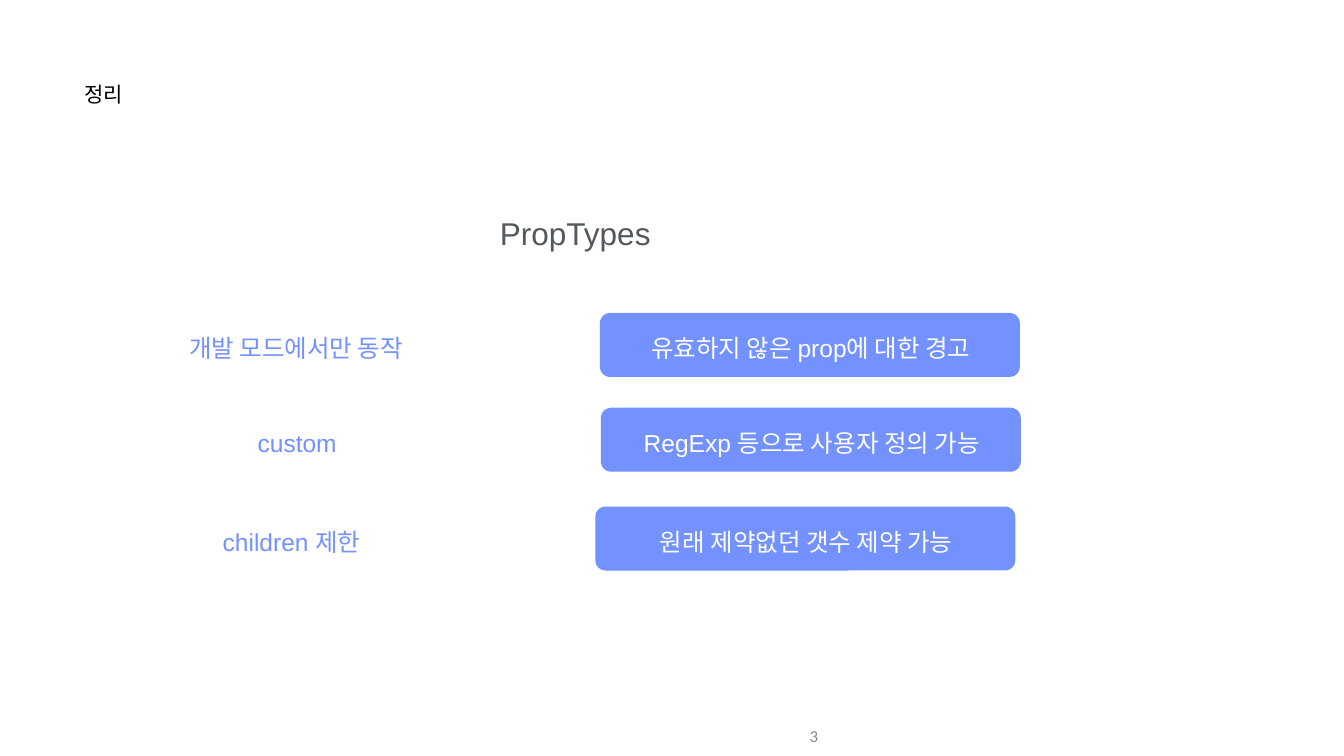
from pptx import Presentation
from pptx.dml.color import RGBColor
from pptx.enum import shapes, text
from pptx.util import Inches, Pt

TITLE = "정리"
HEAD = "PropTypes"
PAGE = "3"
ROWS = [
    (11.9, 6.21, "개발 모드에서만 동작", "유효하지 않은 prop에 대한 경고"),
    (11.92, 8.09, "custom", "RegExp 등으로 사용자 정의 가능"),
    (11.81, 10.05, "children 제한", "원래 제약없던 갯수 제약 가능"),
]

THEME = {
    "font": "Arial", "num": "Calibri",
    "ink": "000000", "gray": "53585F", "pale": "888888",
    "blue": "7391FF", "white": "FFFFFF",
    "title": 30, "head": 45, "body": 35, "page": 24,
}
ALIGN = text.PP_ALIGN
ANCHOR = text.MSO_ANCHOR
THIN = (0.01, 0.01, 0.01, 0.01)
CARD = (8.33, 1.27)
LABEL = (6.25, 0.62)
SHIFT = 9.15
DROP = 0.38


def color(name):
    return RGBColor.from_string(THEME[name])


def write(shape, words, size, ink, align=ALIGN.CENTER,
          anchor=ANCHOR.MIDDLE, pad=THIN, font="font"):
    frame = shape.text_frame
    frame.text = words
    frame.word_wrap = True
    frame.auto_size = text.MSO_AUTO_SIZE.NONE
    frame.vertical_anchor = anchor
    (frame.margin_left, frame.margin_top,
     frame.margin_right, frame.margin_bottom) = map(Inches, pad)
    para = frame.paragraphs[0]
    para.alignment = align
    para.font.name = THEME[font]
    para.font.size = Pt(THEME[size])
    para.font.color.rgb = color(ink)


def label(slide, box, *args, **opts):
    shape = slide.shapes.add_textbox(*map(Inches, box))
    write(shape, *args, **opts)


def card(slide, left, top, words):
    shape = slide.shapes.add_shape(
        shapes.MSO_SHAPE.ROUNDED_RECTANGLE, *map(Inches, (left, top, *CARD)))
    shape.adjustments[0] = 0.16
    shape.shadow.inherit = False
    shape.fill.solid()
    shape.fill.fore_color.rgb = color("blue")
    shape.line.fill.background()
    write(shape, words, "body", "white", pad=(0.05, 0.12, 0.01, 0.01))


def main():
    deck = Presentation()
    deck.slide_width, deck.slide_height = Inches(26.66), Inches(15)
    slide = deck.slides.add_slide(deck.slide_layouts[5])

    title = slide.shapes.title
    title.left, title.top = Inches(1.67), Inches(1.6)
    title.width, title.height = Inches(4.86), Inches(1.18)
    write(title, TITLE, "title", "ink", ALIGN.LEFT, ANCHOR.TOP)

    label(slide, (2.64, 4.24, 17.54, 0.79), HEAD, "head", "gray",
          anchor=ANCHOR.TOP)
    label(slide, (10.33, 14.21, 6, 0.79), PAGE, "page", "pale",
          ALIGN.RIGHT, pad=(0.1, 0.05, 0.1, 0.05), font="num")

    for left, top, name, note in ROWS:
        card(slide, left, top, note)
        label(slide, (left - SHIFT, top + DROP, *LABEL), name, "body", "blue")

    deck.save("out.pptx")


if __name__ == "__main__":
    main()
